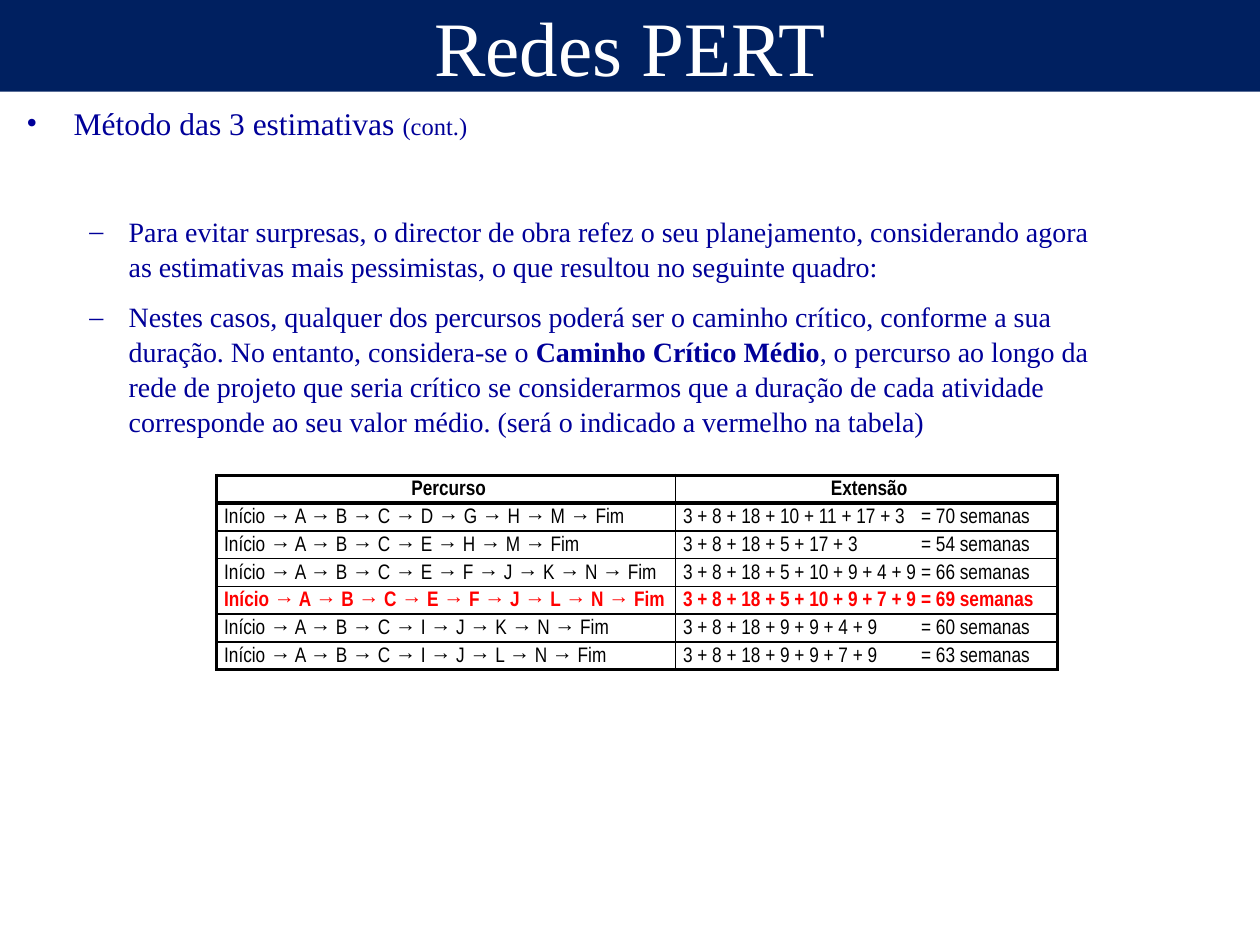
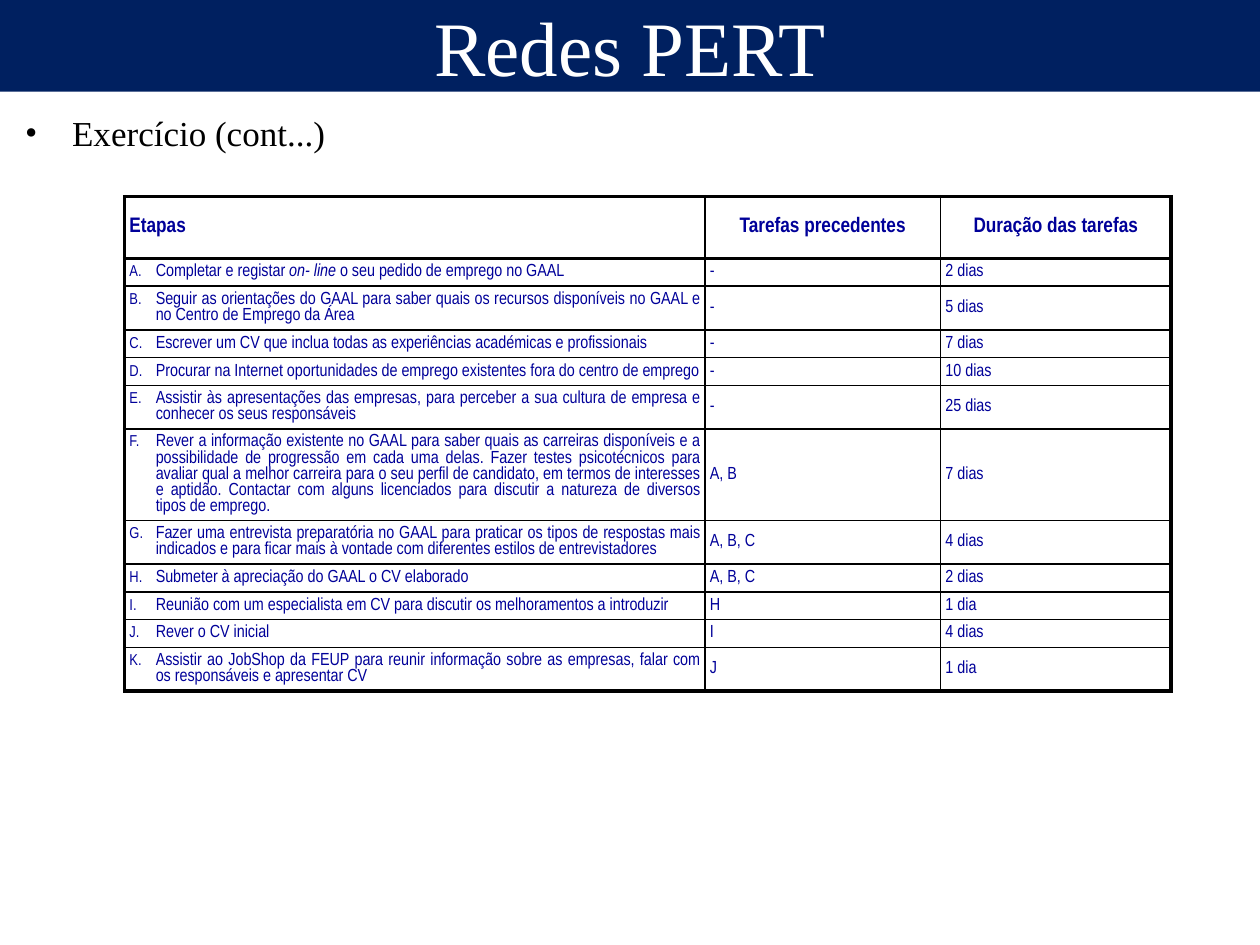
from lxml.etree import SubElement
from pptx import Presentation
from pptx.dml.color import RGBColor
from pptx.enum.text import MSO_ANCHOR, MSO_AUTO_SIZE, PP_ALIGN
from pptx.oxml import parse_xml
from pptx.oxml.ns import nsdecls, qn
from pptx.util import Cm, Pt

COLORS = {
    "band": "002060",
    "title": "FFFFFF",
    "text": "000099",
    "black": "000000",
    "critical": "FF0000",
}
SERIF = "Times New Roman"
NARROW = "Arial Narrow"
THICK, THIN = 2.25, 1

PATHS = [
    ("A B C D G H M", "3 + 8 + 18 + 10 + 11 + 17 + 3", 70),
    ("A B C E H M", "3 + 8 + 18 + 5 + 17 + 3", 54),
    ("A B C E F J K N", "3 + 8 + 18 + 5 + 10 + 9 + 4 + 9", 66),
    ("A B C E F J L N", "3 + 8 + 18 + 5 + 10 + 9 + 7 + 9", 69),
    ("A B C I J K N", "3 + 8 + 18 + 9 + 9 + 4 + 9", 60),
    ("A B C I J L N", "3 + 8 + 18 + 9 + 9 + 7 + 9", 63),
]
CRITICAL_PATH = "A B C E F J L N"

STAGES = [
    ([("Completar e registar ", ""), ("on- line", "italic"),
      (" o seu pedido de emprego no GAAL", "")], "-", "2 dias", 1),
    ("Seguir as orientações do GAAL para saber quais os recursos disponíveis no GAAL "
     "e no Centro de Emprego da Área", "-", "5 dias", 2),
    ("Escrever um CV que inclua todas as experiências académicas e profissionais",
     "-", "7 dias", 1),
    ("Procurar na Internet oportunidades de emprego existentes fora do centro de emprego",
     "-", "10 dias", 1),
    ("Assistir às apresentações das empresas, para perceber a sua cultura de empresa "
     "e conhecer os seus responsáveis", "-", "25 dias", 2),
    ("Rever a informação existente no GAAL para saber quais as carreiras disponíveis "
     "e a possibilidade de progressão em cada uma delas. Fazer testes psicotécnicos "
     "para avaliar qual a melhor carreira para o seu perfil de candidato, em termos "
     "de interesses e aptidão. Contactar com alguns licenciados para discutir a "
     "natureza de diversos tipos de emprego.", "A, B", "7 dias", 5),
    ("Fazer uma entrevista preparatória no GAAL para praticar os tipos de respostas "
     "mais indicados e para ficar mais à vontade com diferentes estilos de "
     "entrevistadores", "A, B, C", "4 dias", 2),
    ("Submeter à apreciação do GAAL o CV elaborado", "A, B, C", "2 dias", 1),
    ("Reunião com um especialista em CV para discutir os melhoramentos a introduzir",
     "H", "1 dia", 1),
    ("Rever o CV inicial", "I", "4 dias", 1),
    ("Assistir ao JobShop da FEUP para reunir informação sobre as empresas, falar com "
     "os responsáveis e apresentar CV", "J", "1 dia", 2),
]


def rgb(name):
    return RGBColor.from_string(COLORS[name])


def place(shape, left, top, width, height):
    shape.left, shape.top = Cm(left), Cm(top)
    shape.width, shape.height = Cm(width), Cm(height)


def format_span(span, font, size, color, bold=False, italic=False):
    span.font.name = font
    span.font.size = Pt(size)
    span.font.color.rgb = rgb(color)
    span.font.bold = bold
    span.font.italic = italic


def write(para, content, font, size, color, bold=False):
    spans = [(content, "")] if isinstance(content, str) else content
    for text, style in spans:
        span = para.add_run()
        span.text = text
        format_span(span, font, size, color, bold or style == "bold", style == "italic")


def set_indent(para, left, hanging):
    properties = para._p.get_or_add_pPr()
    properties.set("marL", str(Cm(left)))
    properties.set("indent", str(-Cm(hanging)))
    return properties


def add_bullet(para, symbol, left, hanging):
    properties = set_indent(para, left, hanging)
    SubElement(properties, qn("a:buFont"), typeface=SERIF)
    SubElement(properties, qn("a:buChar"), char=symbol)


def add_letter(para, number, color):
    properties = set_indent(para, 0.53, 0.53)
    bullet_color = SubElement(properties, qn("a:buClr"))
    SubElement(bullet_color, qn("a:srgbClr"), val=COLORS[color])
    SubElement(properties, qn("a:buSzPct"), val="90000")
    SubElement(properties, qn("a:buAutoNum"), type="alphaUcPeriod", startAt=str(number))


def add_tab_stop(para, position):
    tabs = SubElement(para._p.get_or_add_pPr(), qn("a:tabLst"))
    SubElement(tabs, qn("a:tab"), pos=str(Cm(position)), algn="l")


def add_page(deck, left, top, width, height):
    page = deck.slides.add_slide(deck.slide_layouts[1])
    title, body = page.shapes.title, page.placeholders[1]
    place(title, 0, 0, 25.4, 1.85)
    title.fill.solid()
    title.fill.fore_color.rgb = rgb("band")
    frame = title.text_frame
    frame.text = "Redes PERT"
    frame.auto_size = MSO_AUTO_SIZE.NONE
    frame.vertical_anchor = MSO_ANCHOR.MIDDLE
    frame.paragraphs[0].alignment = PP_ALIGN.CENTER
    format_span(frame.paragraphs[0].runs[0], SERIF, 44, "title")
    place(body, left, top, width, height)
    body.text_frame.auto_size = MSO_AUTO_SIZE.NONE
    body.text_frame.vertical_anchor = MSO_ANCHOR.TOP
    return page, body.text_frame


def add_heading(frame, content, size, color):
    para = frame.paragraphs[0]
    para.space_before = Pt(0)
    add_bullet(para, "•", 0.95, 0.95)
    write(para, content, SERIF, size, color)
    return para


def add_subitem(frame, content, space_before):
    para = frame.add_paragraph()
    para.level = 1
    para.space_before = Pt(space_before)
    para.line_spacing = 1.04
    add_bullet(para, "–", 2.06, 0.79)
    write(para, content, SERIF, 16, "text")


def set_borders(cell, widths):
    properties = cell._tc.get_or_add_tcPr()
    for position, (side, width) in enumerate(widths.items()):
        properties.insert(position, parse_xml(
            f'<a:ln{side} {nsdecls("a")} w="{Pt(width)}"><a:solidFill>'
            f'<a:srgbClr val="{COLORS["black"]}"/></a:solidFill></a:ln{side}>'))


def add_grid(page, left, top, widths, heights, margins):
    rows, columns = len(heights), len(widths)
    table = page.shapes.add_table(rows, columns, Cm(left), Cm(top),
                                  Cm(sum(widths)), Cm(sum(heights))).table
    table.first_row = table.horz_banding = False
    for column, width in zip(table.columns, widths):
        column.width = Cm(width)
    for row, height in zip(table.rows, heights):
        row.height = Cm(height)
    for r in range(rows):
        for c in range(columns):
            cell = table.cell(r, c)
            cell.fill.background()
            cell.vertical_anchor = MSO_ANCHOR.MIDDLE
            (cell.margin_left, cell.margin_top,
             cell.margin_right, cell.margin_bottom) = map(Cm, margins)
            set_borders(cell, {
                "L": THICK if c == 0 else THIN,
                "R": THICK if c == columns - 1 else THIN,
                "T": THICK if r <= 1 else THIN,
                "B": THICK if r in (0, rows - 1) else THIN,
            })
    return table


def fill_cell(cell, content, size, color, bold=False, align=PP_ALIGN.LEFT):
    para = cell.text_frame.paragraphs[0]
    para.alignment = align
    write(para, content, NARROW, size, color, bold)
    return para


def add_paths_table(page):
    heights = [0.56] * (len(PATHS) + 1)
    table = add_grid(page, 4.37, 9.58, [9.25, 7.7], heights, (0.15, 0.1, 0.05, 0.05))
    for c, header in enumerate(["Percurso", "Extensão"]):
        fill_cell(table.cell(0, c), header, 12, "black", True, PP_ALIGN.CENTER)
    for r, (tasks, durations, weeks) in enumerate(PATHS, 1):
        critical = tasks == CRITICAL_PATH
        color = "critical" if critical else "black"
        route = " → ".join(["Início", *tasks.split(), "Fim"])
        fill_cell(table.cell(r, 0), route, 12, color, critical)
        para = fill_cell(table.cell(r, 1), f"{durations}\t= {weeks} semanas",
                         12, color, critical)
        add_tab_stop(para, 4.8)


def add_stages_table(page):
    heights = [1.25] + [0.24 + 0.32 * lines for *_, lines in STAGES]
    table = add_grid(page, 2.51, 3.96, [11.7, 4.75, 4.65], heights, (0.1,) * 4)
    headers = ["Etapas", "Tarefas precedentes", "Duração das tarefas"]
    for c, header in enumerate(headers):
        align = PP_ALIGN.CENTER if c else PP_ALIGN.LEFT
        fill_cell(table.cell(0, c), header, 12, "text", True, align)
    for r, (stage, previous, duration, _) in enumerate(STAGES, 1):
        para = fill_cell(table.cell(r, 0), stage, 10, "text", align=PP_ALIGN.JUSTIFY)
        add_letter(para, r, "text")
        fill_cell(table.cell(r, 1), previous, 10, "text")
        fill_cell(table.cell(r, 2), duration, 10, "text")


def add_estimates_page(deck):
    page, frame = add_page(deck, 0.28, 1.96, 22.2, 12.75)
    para = add_heading(frame, [("Método das 3 estimativas ", ""), ("(cont.)", "")],
                       18, "text")
    para.runs[1].font.size = Pt(14)
    add_subitem(frame, "Para evitar surpresas, o director de obra refez o seu planejamento, "
                "considerando agora as estimativas mais pessimistas, o que resultou no "
                "seguinte quadro:", 41)
    add_subitem(frame, [
        ("Nestes casos, qualquer dos percursos poderá ser o caminho crítico, conforme a "
         "sua duração. No entanto, considera-se o ", ""),
        ("Caminho Crítico Médio", "bold"),
        (", o percurso ao longo da rede de projeto que seria crítico se considerarmos que "
         "a duração de cada atividade corresponde ao seu valor médio. (será o indicado a "
         "vermelho na tabela)", ""),
    ], 9)
    add_paths_table(page)


def add_exercise_page(deck):
    page, frame = add_page(deck, 0.25, 2.13, 22.3, 1.7)
    add_heading(frame, "Exercício (cont...)", 20, "black")
    add_stages_table(page)


def main():
    deck = Presentation()
    deck.slide_width, deck.slide_height = Cm(25.4), Cm(19.05)
    add_estimates_page(deck)
    add_exercise_page(deck)
    deck.save("out.pptx")


if __name__ == "__main__":
    main()
